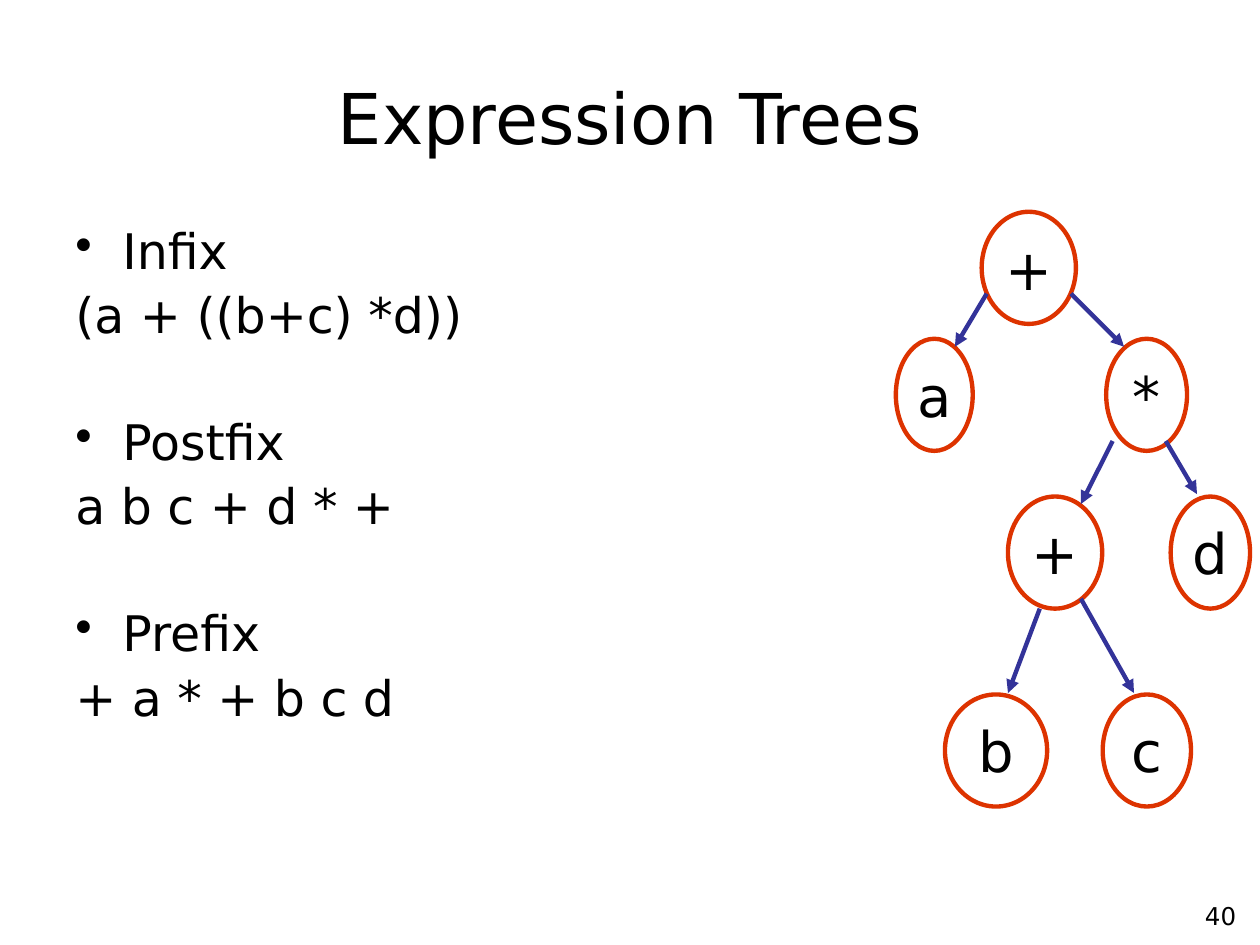
import pptx
import pptx.dml.color
import pptx.enum.shapes
import pptx.enum.text
import pptx.oxml.ns
import pptx.util
from lxml import etree
from pptx.util import Cm

FONT = "DejaVu Sans"
BLACK, NODE_RED, EDGE_BLUE = "000000", "DD3300", "333399"
ALIGN = pptx.enum.text.PP_ALIGN
MIDDLE = pptx.enum.text.MSO_ANCHOR.MIDDLE
NODE_HEIGHT = 2.26
LEVEL_TOPS = [4.27, 6.83, 10.01, 14]

NOTATIONS = [
    ("Infix", "(a + ((b+c) *d))"),
    ("Postfix", "a b c + d * +"),
    ("Prefix", "+ a * + b c d"),
]
NODES = [
    ("+", 0, 19.79, 1.9),
    ("a", 1, 18.06, 1.55),
    ("*", 1, 22.3, 1.63),
    ("+", 2, 20.32, 1.9),
    ("d", 2, 23.6, 1.6),
    ("b", 3, 19.05, 2.06),
    ("c", 3, 22.23, 1.78),
]
EDGES = [
    (19.89, 5.92, 19.25, 6.99),
    (21.59, 5.92, 22.66, 6.99),
    (22.43, 8.89, 21.79, 10.16),
    (23.5, 8.89, 24.13, 9.96),
    (20.96, 12.27, 20.32, 13.97),
    (21.79, 12.07, 22.86, 13.97),
]


def color(hex_code):
    return pptx.dml.color.RGBColor.from_string(hex_code)


def add_child(parent, tag, **attributes):
    return etree.SubElement(parent, pptx.oxml.ns.qn(tag), attributes)


def write(paragraph, words, size, align=ALIGN.LEFT):
    paragraph.alignment = align
    run = paragraph.add_run()
    run.text = words
    run.font.name = FONT
    run.font.size = pptx.util.Pt(size)
    run.font.color.rgb = color(BLACK)


def add_frame(slide, left, top, width, height):
    frame = slide.shapes.add_textbox(Cm(left), Cm(top), Cm(width), Cm(height)).text_frame
    frame.word_wrap = True
    return frame


def add_label(slide, words, size, align, *box):
    frame = add_frame(slide, *box)
    frame.vertical_anchor = MIDDLE
    write(frame.paragraphs[0], words, size, align)


def add_notations(slide):
    frame = add_frame(slide, 1.27, 4.45, 22.86, 12.57)
    for index, (name, expression) in enumerate(NOTATIONS):
        heading = frame.add_paragraph() if index else frame.paragraphs[0]
        formula = frame.add_paragraph()
        for paragraph in (heading, formula):
            paragraph.line_spacing = 0.9
        if index:
            heading.space_before = pptx.util.Pt(42.3)
        formula.space_before = pptx.util.Pt(6.5)
        properties = heading._p.get_or_add_pPr()
        properties.set("marL", str(Cm(0.95)))
        properties.set("indent", str(Cm(-0.95)))
        add_child(properties, "a:buChar", char="•")
        write(heading, name, 28)
        write(formula, expression, 28)


def add_node(slide, symbol, level, left, width):
    node = slide.shapes.add_shape(
        pptx.enum.shapes.MSO_SHAPE.OVAL,
        Cm(left), Cm(LEVEL_TOPS[level]), Cm(width), Cm(NODE_HEIGHT))
    node.shadow.inherit = False
    node.fill.background()
    node.line.color.rgb = color(NODE_RED)
    node.line.width = pptx.util.Pt(2.5)
    node.text_frame.word_wrap = False
    node.text_frame.vertical_anchor = MIDDLE
    write(node.text_frame.paragraphs[0], symbol, 32, ALIGN.CENTER)


def add_edge(slide, *ends):
    edge = slide.shapes.add_connector(
        pptx.enum.shapes.MSO_CONNECTOR.STRAIGHT, *[Cm(end) for end in ends])
    edge.line.color.rgb = color(EDGE_BLUE)
    edge.line.width = pptx.util.Pt(2.5)
    add_child(edge.line._get_or_add_ln(), "a:tailEnd", type="triangle")
    add_child(edge._element.spPr, "a:effectLst")


def main():
    deck = pptx.Presentation()
    deck.slide_width, deck.slide_height = Cm(25.4), Cm(19.05)
    slide = deck.slides.add_slide(deck.slide_layouts[6])
    add_label(slide, "40", 14, ALIGN.RIGHT, 19.89, 17.98, 5.28, 0.94)
    add_label(slide, "Expression Trees", 40, ALIGN.CENTER, 1.27, 0.76, 22.86, 3.18)
    add_notations(slide)
    for node in NODES:
        add_node(slide, *node)
    for edge in EDGES:
        add_edge(slide, *edge)
    deck.save("out.pptx")


if __name__ == "__main__":
    main()
